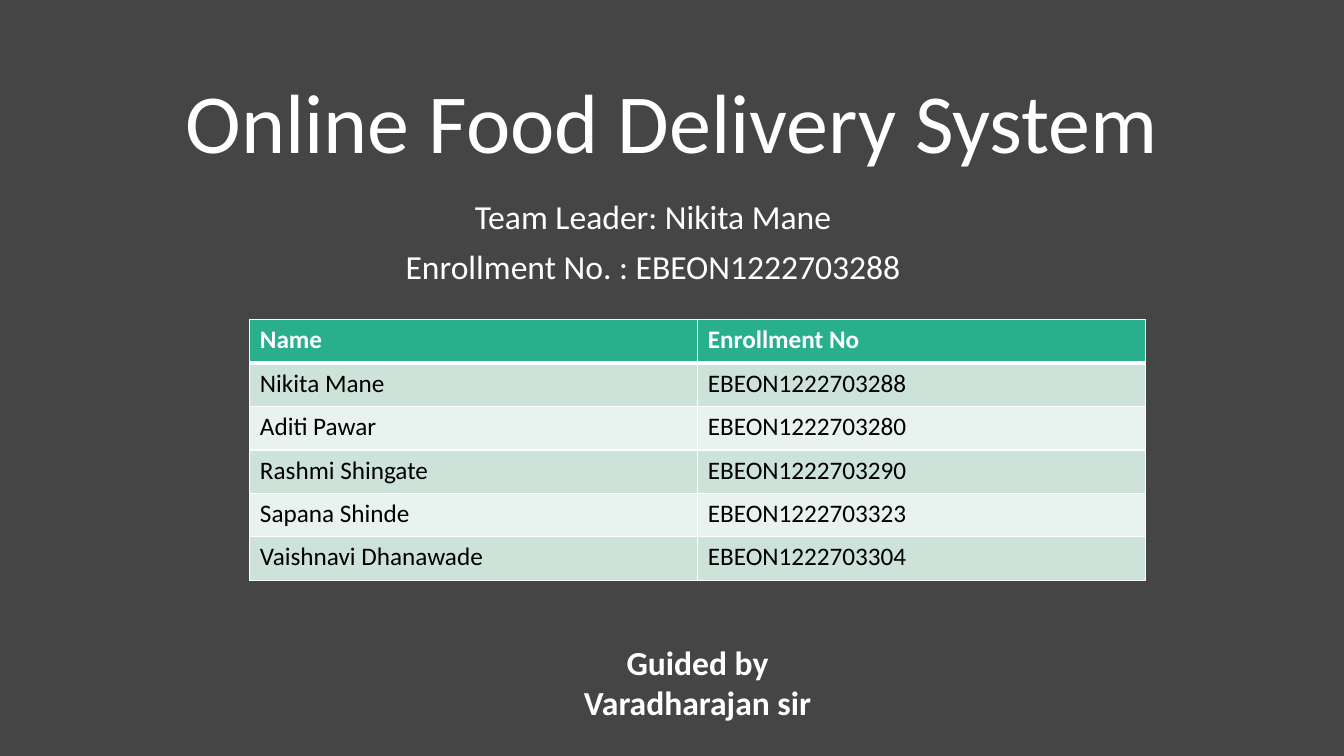
from lxml.etree import SubElement
from pptx import Presentation
from pptx.dml.color import RGBColor
from pptx.enum.text import MSO_ANCHOR as Anchor, PP_ALIGN as Align
from pptx.oxml.ns import qn
from pptx.util import Pt

FONT = "Calibri"
COLORS = {
    "background": "454545",
    "light": "FFFFFF",
    "dark": "000000",
    "header": "29AF8C",
    "odd_row": "CDE3DA",
    "even_row": "E8F2EE",
}
MEMBERS = [
    ("Name", "Enrollment No"),
    ("Nikita Mane", "EBEON1222703288"),
    ("Aditi Pawar", "EBEON1222703280"),
    ("Rashmi Shingate", "EBEON1222703290"),
    ("Sapana Shinde", "EBEON1222703323"),
    ("Vaishnavi Dhanawade", "EBEON1222703304"),
]


def paint(fill, color):
    fill.solid()
    fill.fore_color.rgb = RGBColor.from_string(COLORS[color])


def add_run(paragraph, words, size, color="light", bold=False):
    run = paragraph.add_run()
    run.text = words
    run.font.name = FONT
    run.font.size = Pt(size)
    run.font.bold = bold
    run.font.color.rgb = RGBColor.from_string(COLORS[color])


def add_centered_text(slide, box, lines, size, bold=False, anchor=Anchor.TOP,
                      line_spacing=1.0, space_before=0):
    frame = slide.shapes.add_textbox(*map(Pt, box)).text_frame
    frame.word_wrap = True
    frame.vertical_anchor = anchor
    for index, line in enumerate(lines):
        paragraph = frame.add_paragraph() if index else frame.paragraphs[0]
        paragraph.alignment = Align.CENTER
        paragraph.line_spacing = line_spacing
        paragraph.space_before = Pt(space_before)
        add_run(paragraph, line, size, bold=bold)


def add_borders(cell, bottom_width):
    properties = cell._tc.get_or_add_tcPr()
    widths = {"a:lnL": 1, "a:lnR": 1, "a:lnT": 1, "a:lnB": bottom_width}
    for side, width in widths.items():
        border = SubElement(properties, qn(side), w=str(Pt(width)))
        solid = SubElement(border, qn("a:solidFill"))
        SubElement(solid, qn("a:srgbClr"), val=COLORS["light"])


def add_member_table(slide, left, top, column_width, row_height):
    rows, columns = len(MEMBERS), len(MEMBERS[0])
    table = slide.shapes.add_table(
        rows, columns, Pt(left), Pt(top),
        Pt(column_width * columns), Pt(row_height * rows)).table
    for row, member in enumerate(MEMBERS):
        header = row == 0
        band = "header" if header else "odd_row" if row % 2 else "even_row"
        for column, entry in enumerate(member):
            cell = table.cell(row, column)
            # Borders come before the fill in the cell properties
            add_borders(cell, 3 if header else 1)
            paint(cell.fill, band)
            add_run(cell.text_frame.paragraphs[0], entry, 18,
                    "light" if header else "dark", header)


def main():
    deck = Presentation()
    deck.slide_width, deck.slide_height = Pt(960), Pt(540)
    slide = deck.slides.add_slide(deck.slide_layouts[6])
    paint(slide.background.fill, "background")

    # Title and team leader
    add_centered_text(slide, (120, 31.5, 720, 94.5),
                      ["Online Food Delivery System"], 60,
                      anchor=Anchor.BOTTOM, line_spacing=0.9)
    add_centered_text(slide, (106.5, 139.5, 720, 268.5),
                      ["Team Leader: Nikita Mane",
                       "Enrollment No. : EBEON1222703288"], 24,
                      line_spacing=0.9, space_before=10)

    # Guide
    add_centered_text(slide, (337, 455, 322.5, 94.5),
                      ["Guided by", "Varadharajan sir"], 24, bold=True)

    # Team members
    add_member_table(slide, 178.5, 228.5, 320, 31)

    deck.save("out.pptx")


if __name__ == "__main__":
    main()
